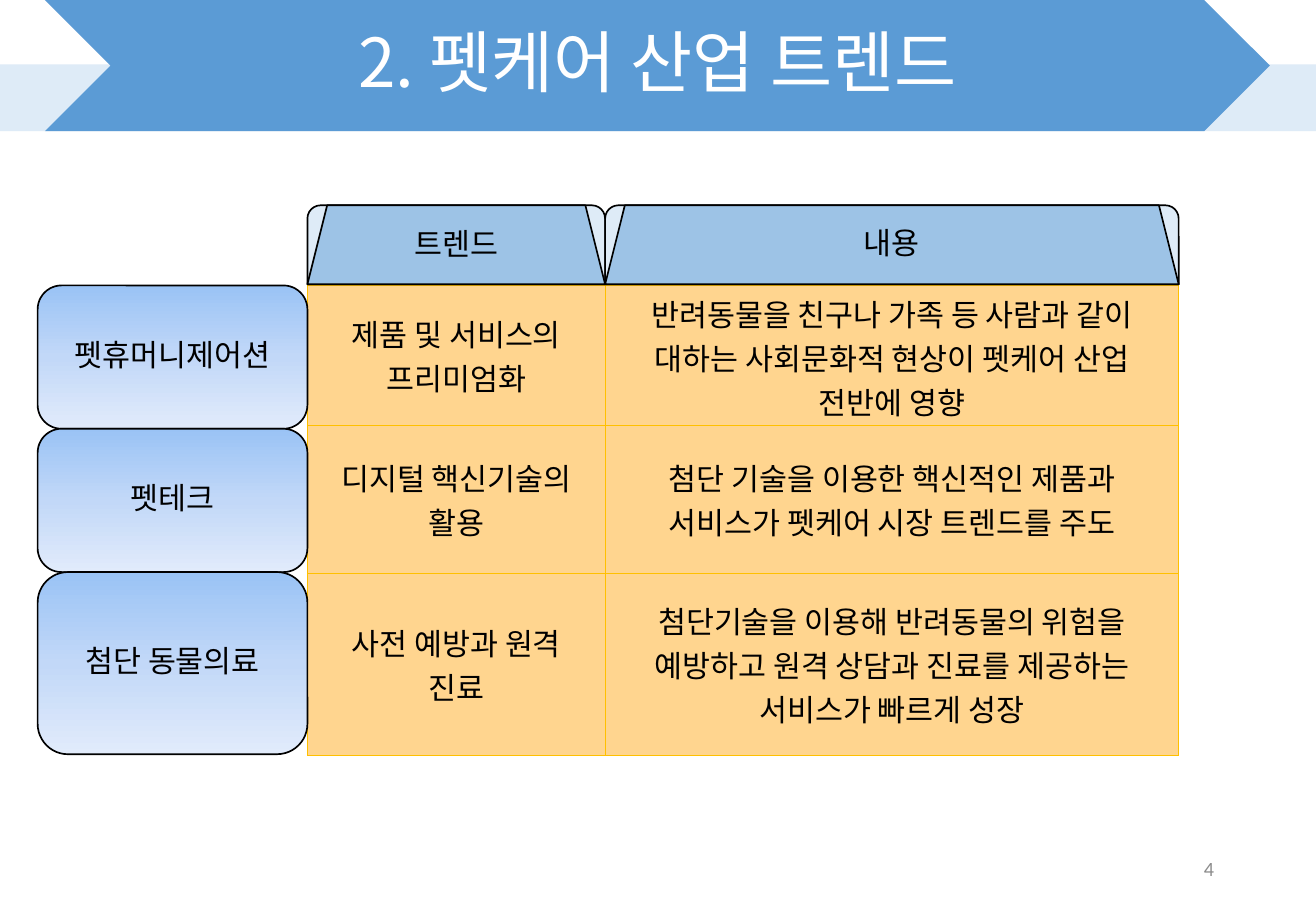
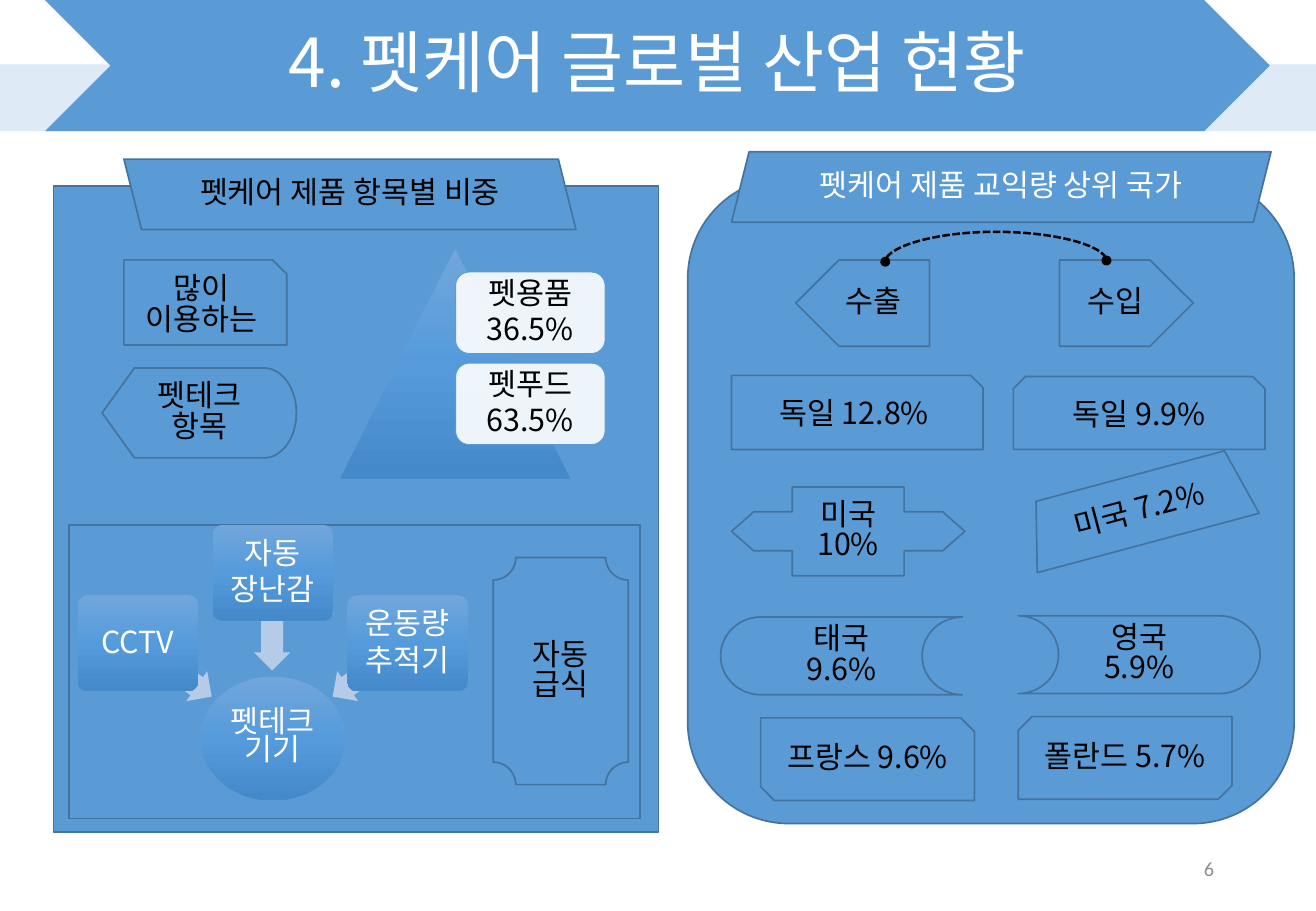
import copy
import dataclasses

import pptx
import pptx.dml.color
import pptx.enum.dml
import pptx.enum.shapes
import pptx.enum.text
import pptx.oxml
import pptx.oxml.ns
import pptx.util

SHAPE = pptx.enum.shapes.MSO_SHAPE
ALIGN = pptx.enum.text.PP_ALIGN
MIDDLE = pptx.enum.text.MSO_ANCHOR.MIDDLE
Inches = pptx.util.Inches
qn = pptx.oxml.ns.qn


@dataclasses.dataclass(frozen=True)
class Theme:
    """Colours, fonts and type sizes of the presentation."""
    blue: str = "5B9BD5"
    edge: str = "43739E"
    pale: str = "DEEBF7"
    tab: str = "9DC3E6"
    arrow: str = "B5CBE7"
    cell: str = "FFD58F"
    cell_border: str = "FFC000"
    black: str = "000000"
    white: str = "FFFFFF"
    gray: str = "8C8C8C"
    label_gradient: tuple = ("9AC3F5", "C2D8F8", "E1EBFB")
    device_gradient: tuple = ("71A6DB", "559BDB", "448ACA")
    font: str = "Noto Sans CJK KR"
    latin_font: str = "Calibri"
    title_size: int = 40
    body_size: int = 18
    number_size: int = 12


THEME = Theme()
OUTLINED = {"fill": THEME.blue, "line": (THEME.edge, 1)}
HEADER_BACK = {"fill": THEME.pale, "line": (THEME.black, 1)}
HEADER_TAB = {"fill": THEME.tab, "line": (THEME.black, 1)}
ROW_LABEL = {"fill": THEME.label_gradient, "line": (THEME.black, 1)}
DEVICE = {"fill": THEME.device_gradient}
SHARE = {"fill": THEME.white, "line": (THEME.blue, 0.5), "opacity": 90}
TITLE_BOX = (0.37, 0, 10.08, 1.08)


def rgb(value):
    """Return the colour for a hexadecimal string."""
    return pptx.dml.color.RGBColor.from_string(value)


def apply_format(target, values):
    """Set each named attribute of the target."""
    for name, value in values.items():
        setattr(target, name, value)


def place(shape, box):
    """Move and size a shape to a box in inches."""
    apply_format(shape, dict(zip(("left", "top", "width", "height"), map(Inches, box))))


def write_text(frame, text, color=THEME.black, size=THEME.body_size,
               font=THEME.font, align=ALIGN.CENTER, spacing=None, after=0):
    """Write one formatted paragraph for each line of text."""
    for index, line in enumerate(text.split("\n")):
        paragraph = frame.add_paragraph() if index else frame.paragraphs[0]
        paragraph.text = line
        apply_format(paragraph, {"alignment": align, "line_spacing": spacing,
                                 "space_after": pptx.util.Pt(after)})
        for run in paragraph.runs:
            run.font.color.rgb = rgb(color)
            apply_format(run.font, {"size": pptx.util.Pt(size), "name": font})


def set_east_asian_font(element):
    """Give every run within the element the Korean font."""
    for properties in element.iter(qn("a:rPr")):
        properties.append(pptx.oxml.parse_xml(
            f'<a:ea {pptx.oxml.ns.nsdecls("a")} typeface="{THEME.font}"/>'))


def fill_gradient(shape, colors):
    """Fill a shape with three colours from top to bottom."""
    shape.fill.gradient()
    shape.fill.gradient_angle = 270
    stops = shape.element.spPr.find(qn("a:gradFill")).find(qn("a:gsLst"))
    stops.insert(1, copy.deepcopy(stops[0]))
    for index, (stop, color) in enumerate(zip(shape.fill.gradient_stops, colors)):
        stop.color.rgb = rgb(color)
        stop.position = index / 2


def set_opacity(shape, percent):
    """Make the solid fill of a shape partly transparent."""
    color = shape.element.spPr.find(qn("a:solidFill"))[0]
    color.append(pptx.oxml.parse_xml(
        f'<a:alpha {pptx.oxml.ns.nsdecls("a")} val="{percent * 1000}"/>'))


def add_box(shapes, kind, box, fill, line=None, opacity=None, text="", flip=False,
            rotation=0, adjustments=(), inset=None, color=THEME.black,
            spacing=0.83, after=0):
    """Add a preset shape with its fill, outline and text."""
    shape = shapes.add_shape(kind, *map(Inches, box))
    shape.shadow.inherit = False
    shape.rotation = rotation
    for index, value in enumerate(adjustments):
        shape.adjustments[index] = value
    if isinstance(fill, tuple):
        fill_gradient(shape, fill)
    else:
        shape.fill.solid()
        shape.fill.fore_color.rgb = rgb(fill)
    if opacity:
        set_opacity(shape, opacity)
    if line:
        shape.line.color.rgb = rgb(line[0])
        shape.line.width = pptx.util.Pt(line[1])
    else:
        shape.line.fill.background()
    if flip:
        shape.element.spPr.find(qn("a:xfrm")).set("flipH", "1")
    if text:
        frame = shape.text_frame
        apply_format(frame, {"word_wrap": True, "vertical_anchor": MIDDLE})
        if inset is not None:
            sides = ("margin_left", "margin_top", "margin_right", "margin_bottom")
            apply_format(frame, dict.fromkeys(sides, Inches(inset)))
        write_text(frame, text, color, spacing=spacing, after=after)
        set_east_asian_font(shape.element)
    return shape


def add_bands(slide):
    """Draw the title bands and move them to the shared layout."""
    bands = [(SHAPE.RECTANGLE, (0, 0.53, 10.83, 0.55), THEME.pale),
             (SHAPE.CHEVRON, TITLE_BOX, THEME.blue)]
    for index, (kind, box, fill) in enumerate(bands):
        band = add_box(slide.shapes, kind, box, fill)
        slide.slide_layout.shapes.element.insert(2 + index, band.element)


def add_titled_slide(presentation, title, number):
    """Add a slide with its title and page number."""
    slide = presentation.slides.add_slide(presentation.slide_layouts[5])
    heading = slide.shapes.title
    place(heading, TITLE_BOX)
    heading.text_frame.vertical_anchor = MIDDLE
    write_text(heading.text_frame, title, THEME.white, THEME.title_size, spacing=0.9)
    set_east_asian_font(heading.element)
    page = slide.shapes.add_textbox(*map(Inches, (7.65, 6.95, 2.44, 0.4)))
    apply_format(page.text_frame, {"word_wrap": True, "vertical_anchor": MIDDLE})
    write_text(page.text_frame, str(number), THEME.gray, THEME.number_size,
               THEME.latin_font, ALIGN.RIGHT)
    return slide


def format_cell(cell, text):
    """Fill, outline and write one table cell."""
    cell.fill.solid()
    cell.fill.fore_color.rgb = rgb(THEME.cell)
    cell.vertical_anchor = MIDDLE
    write_text(cell.text_frame, text, font=THEME.latin_font)
    properties = cell.fill.fore_color and cell.text_frame.paragraphs and cell
    return properties


def outline_cells(frame):
    """Draw thin borders around all cells of a table."""
    for properties in frame.element.iter(qn("a:tcPr")):
        for index, side in enumerate(("lnL", "lnR", "lnT", "lnB")):
            properties.insert(index, pptx.oxml.parse_xml(
                f'<a:{side} {pptx.oxml.ns.nsdecls("a")} w="6350"><a:solidFill>'
                f'<a:srgbClr val="{THEME.cell_border}"/></a:solidFill></a:{side}>'))


def add_trend_table(slide, left, top, widths, heights, rows):
    """Add the table of trends."""
    frame = slide.shapes.add_table(len(rows), len(widths), *map(
        Inches, (left, top, sum(widths), sum(heights))))
    table = frame.table
    apply_format(table, {"first_row": False, "horz_banding": False})
    for column, width in zip(table.columns, widths):
        column.width = Inches(width)
    for row, height, texts in zip(table.rows, heights, rows):
        row.height = Inches(height)
        for cell, text in zip(row.cells, texts):
            format_cell(cell, text)
    outline_cells(frame)
    set_east_asian_font(frame.element)


def add_trade_arc(slide):
    """Join exports and imports with a dashed arc."""
    arc = slide.shapes.add_connector(
        pptx.enum.shapes.MSO_CONNECTOR.CURVE, *map(Inches, (8.2, 3.06, 8.19, 1.24)))
    arc.line.color.rgb = rgb(THEME.black)
    apply_format(arc.line, {"width": pptx.util.Pt(1.5),
                            "dash_style": pptx.enum.dml.MSO_LINE.SQUARE_DOT})
    names = pptx.oxml.ns.nsdecls("a")
    properties = arc.element.spPr
    properties.find(qn("a:xfrm")).set("rot", "5400000")
    properties.find(qn("a:prstGeom")).find(qn("a:avLst")).append(
        pptx.oxml.parse_xml(f'<a:gd {names} name="adj1" fmla="val 2500000"/>'))
    for end in ("headEnd", "tailEnd"):
        properties.find(qn("a:ln")).append(
            pptx.oxml.parse_xml(f'<a:{end} {names} type="oval"/>'))
    properties.append(pptx.oxml.parse_xml(f"<a:effectLst {names}/>"))


def draw_trends(slide):
    """Draw the trend table with its column tabs and row labels."""
    left, top, widths = 2.53, 2.35, (2.45, 4.72)
    add_trend_table(slide, left, top, widths, (1.15, 1.22, 1.5), [
        ("제품 및 서비스의\n프리미엄화",
         "반려동물을 친구나 가족 등 사람과 같이 대하는 사회문화적 현상이 펫케어 산업 전반에 영향"),
        ("디지털 핵신기술의\n활용",
         "첨단 기술을 이용한 핵신적인 제품과 서비스가 펫케어 시장 트렌드를 주도"),
        ("사전 예방과 원격\n진료",
         "첨단기술을 이용해 반려동물의 위험을 예방하고 원격 상담과 진료를 제공하는 서비스가 빠르게 성장")])
    for text, width in zip(("트렌드", "내용"), widths):
        box = (left, 1.69, width, 0.65)
        add_box(slide.shapes, SHAPE.ROUND_2_SAME_RECTANGLE, box, **HEADER_BACK)
        add_box(slide.shapes, SHAPE.TRAPEZOID, box, text=text, **HEADER_TAB)
        left += width
    for text, height in (("펫휴머니제어션", 1.18), ("펫테크", 1.18), ("첨단 동물의료", 1.5)):
        add_box(slide.shapes, SHAPE.ROUNDED_RECTANGLE, (0.31, top, 2.22, height),
                text=text, **ROW_LABEL)
        top += height


def draw_shares(slide):
    """Draw the pyramid with the product shares."""
    shapes = slide.shapes.add_group_shape().shapes
    add_box(shapes, SHAPE.ISOSCELES_TRIANGLE, (2.8, 2.05, 1.89, 1.89), **DEVICE)
    for index, text in enumerate(("펫용품\n36.5%", "펫푸드\n63.5%")):
        add_box(shapes, SHAPE.ROUNDED_RECTANGLE, (3.75, 2.24 + 0.75 * index, 1.23, 0.67),
                text=text, inset=0.07, spacing=0.9, after=2, **SHARE)


def draw_devices(slide):
    """Draw the devices that point to the centre."""
    shapes = slide.shapes.add_group_shape().shapes
    add_box(shapes, SHAPE.OVAL, (1.65, 5.57, 1.19, 1.02), text="펫테크\v기기",
            color=THEME.white, inset=0.01, spacing=0.77, **DEVICE)
    devices = [("CCTV", 0.64, 4.9, (1.06, 5.37, 0.75, 0.3), 215),
               ("자동\n장난감", 1.75, 4.32, (1.84, 4.97, 0.8, 0.3), 270),
               ("운동량\n추적기", 2.86, 4.9, (2.67, 5.37, 0.75, 0.3), 325)]
    for text, left, top, arrow, rotation in devices:
        add_box(shapes, SHAPE.LEFT_ARROW, arrow, THEME.arrow, rotation=rotation,
                adjustments=(0.6, 0.5))
        add_box(shapes, SHAPE.ROUNDED_RECTANGLE, (left, top, 0.99, 0.79), text=text,
                adjustments=(0.1,), color=THEME.white, inset=0.04, spacing=0.9,
                after=2, **DEVICE)


def draw_outlined(slide, items):
    """Draw outlined shapes from kind, box, text and options."""
    for kind, box, text, options in items:
        add_box(slide.shapes, kind, box, text=text, **OUTLINED, **options)


def draw_global_status(slide):
    """Draw the product panel and the trade panel."""
    flipped = {"flip": True}
    draw_outlined(slide, [
        (SHAPE.RECTANGLE, (0.44, 1.53, 4.98, 5.32), "", {}),
        (SHAPE.PARALLELOGRAM, (1.02, 1.31, 3.72, 0.58), "펫케어 제품 항목별 비중", flipped),
        (SHAPE.SNIP_1_RECTANGLE, (1.02, 2.14, 1.34, 0.7), "많이\n이용하는", {}),
        (SHAPE.FLOWCHART_DISPLAY, (0.84, 3.03, 1.6, 0.74), "펫테크\v항목", {}),
        (SHAPE.RECTANGLE, (0.57, 4.32, 4.7, 2.42), "", {}),
        (SHAPE.PLAQUE, (4.06, 4.59, 1.11, 1.87), "자동\n급식", {})])
    draw_shares(slide)
    draw_devices(slide)
    draw_outlined(slide, [
        (SHAPE.ROUNDED_RECTANGLE, (5.66, 1.46, 4.99, 5.32), "", {}),
        (SHAPE.PARALLELOGRAM, (6.02, 1.25, 4.44, 0.58), "펫케어 제품 교익량 상위 국가",
         {"color": THEME.white}),
        (SHAPE.PENTAGON, (8.72, 2.14, 1.1, 0.71), "수입", {}),
        (SHAPE.PENTAGON, (6.55, 2.14, 1.1, 0.71), "수출", flipped),
        (SHAPE.SNIP_1_RECTANGLE, (6.02, 3.09, 2.07, 0.61), "독일 12.8%", {}),
        (SHAPE.SNIP_2_SAME_RECTANGLE, (8.34, 3.1, 2.07, 0.6), "독일 9.9%", {}),
        (SHAPE.LEFT_RIGHT_ARROW_CALLOUT, (6.02, 4.01, 1.92, 0.73), "미국\v10%",
         {"adjustments": (0.44, 0.22, 0.25, 0.48)}),
        (SHAPE.TRAPEZOID, (8.43, 3.91, 1.89, 0.57), "미국 7.2%", {"rotation": 345}),
        (SHAPE.FLOWCHART_STORED_DATA, (5.93, 5.08, 1.99, 0.64), "태국\n9.6%", {}),
        (SHAPE.FLOWCHART_STORED_DATA, (8.38, 5.07, 1.99, 0.64), "영국\n5.9%", flipped),
        (SHAPE.SNIP_2_DIAG_RECTANGLE, (6.26, 5.91, 1.76, 0.68), "프랑스 9.6%", {}),
        (SHAPE.SNIP_2_DIAG_RECTANGLE, (8.38, 5.9, 1.76, 0.68), "폴란드 5.7%", flipped)])
    add_trade_arc(slide)


def main():
    """Build and save the presentation."""
    presentation = pptx.Presentation()
    apply_format(presentation, {"slide_width": Inches(10.83), "slide_height": Inches(7.5)})
    trends = add_titled_slide(presentation, "2. 펫케어 산업 트렌드", 4)
    add_bands(trends)
    draw_trends(trends)
    draw_global_status(add_titled_slide(presentation, "4. 펫케어 글로벌 산업 현황", 6))
    presentation.save("out.pptx")


if __name__ == "__main__":
    main()
